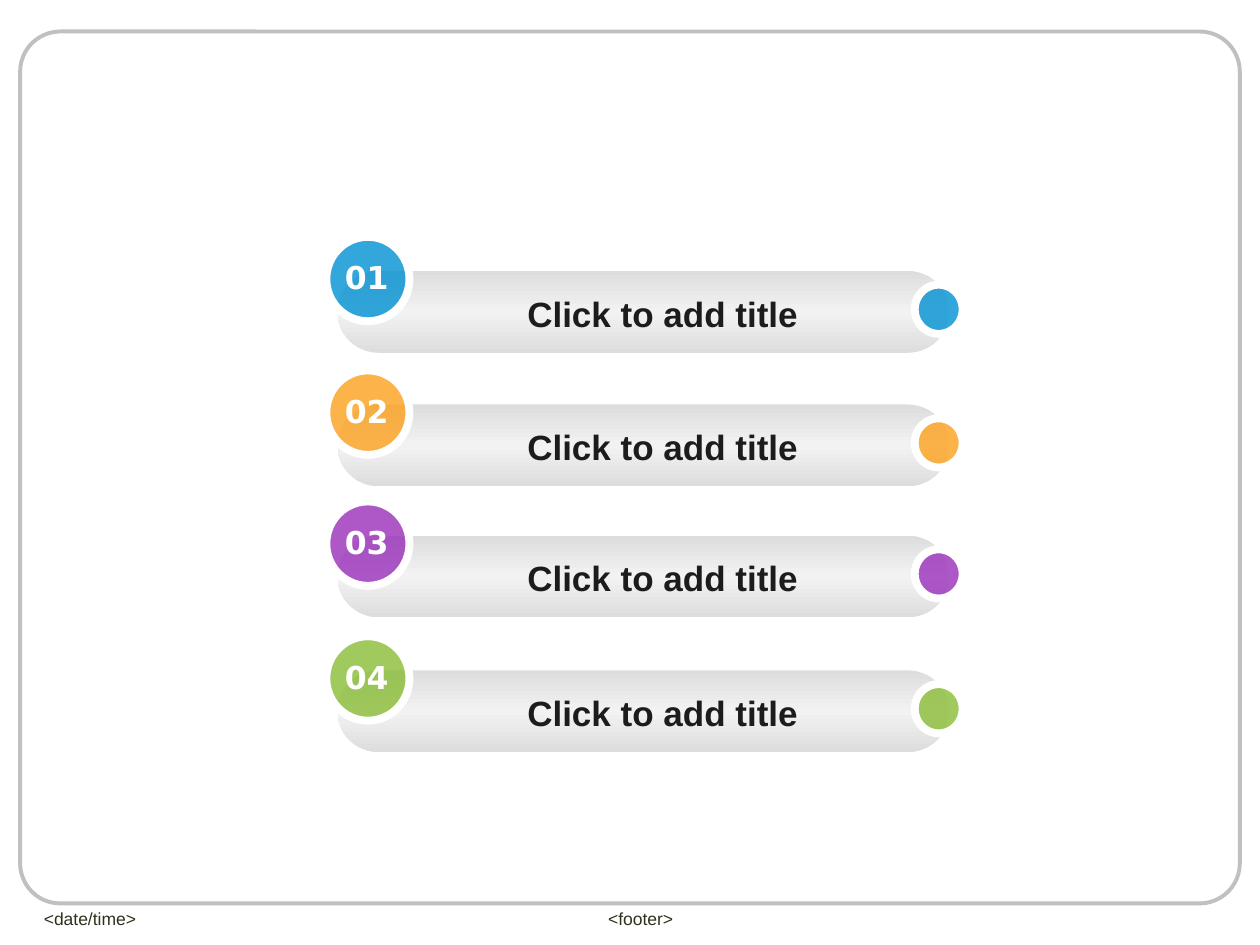
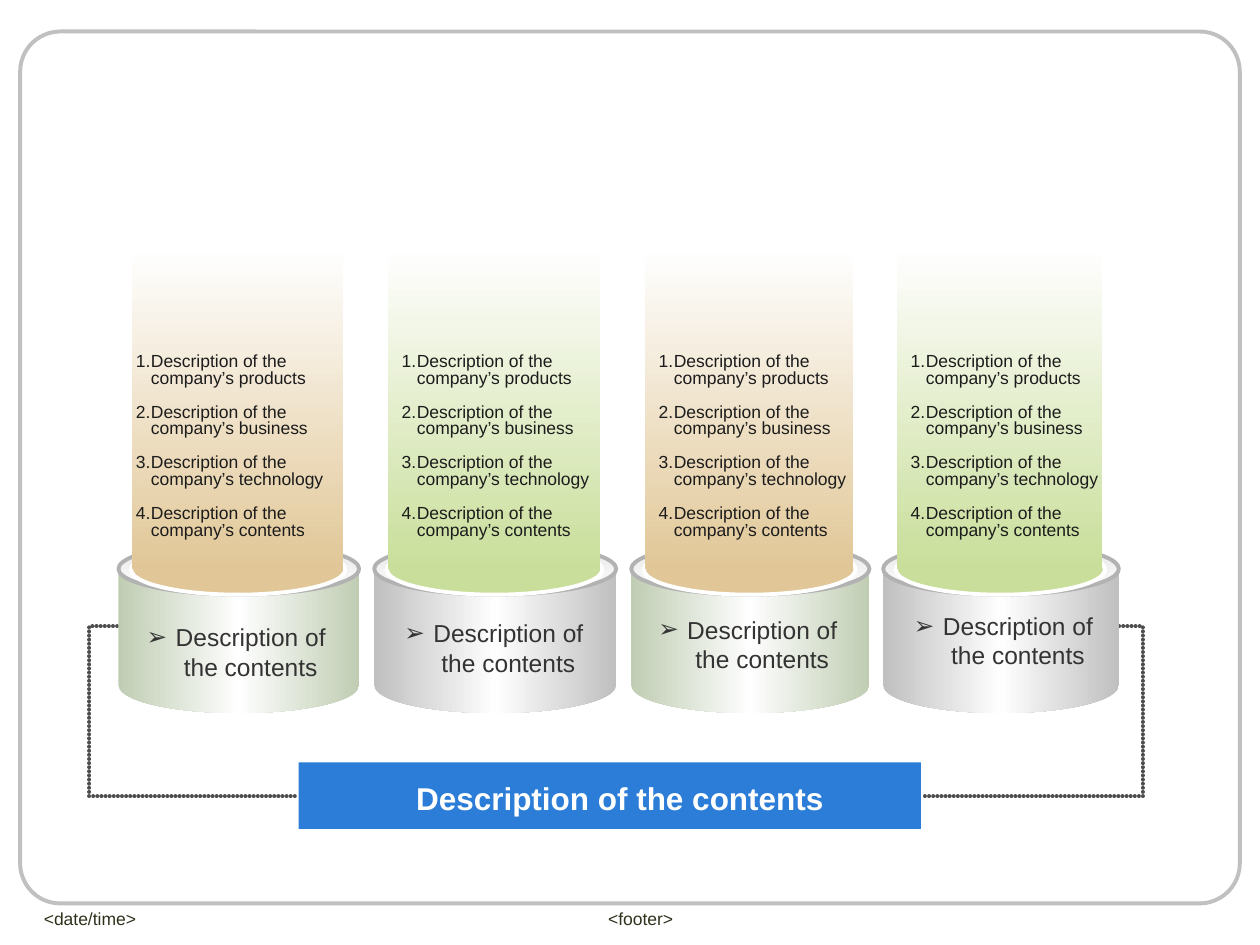
from dataclasses import dataclass

from lxml.etree import SubElement
from pptx import Presentation
from pptx.dml.color import RGBColor
from pptx.enum.shapes import MSO_CONNECTOR, MSO_SHAPE as SHAPE
from pptx.enum.text import PP_ALIGN as ALIGN
from pptx.oxml.ns import qn
from pptx.util import Inches, Pt


@dataclass(frozen=True)
class Theme:
    font: str = "Arial"
    number_font: str = "DejaVu Sans"
    white: str = "FFFFFF"
    ink: str = "1C1C1C"
    caption: str = "333333"
    footer: str = "30311D"
    frame: str = "C0C0C0"
    bar: tuple = ("DDDDDD", "F2F2F2", "DDDDDD")
    blue: str = "0091D2"
    orange: str = "FCA11C"
    purple: str = "9A2FBB"
    green: str = "89BC36"
    banner: str = "2B7DD7"
    link: str = "4D4D4D"
    sage_can: tuple = ("C0CDB3", "FEFEFE", "C0CDB3")
    silver_can: tuple = ("C0C0C0", "FEFEFE", "C0C0C0")
    rim: tuple = ("E6E6E6", "FFFFFF")
    rim_line: str = "B2B2B2"
    tube_top: str = "FEFEFE"
    sand: str = "E1C797"
    lime: str = "C9DE9A"
    title_size: int = 20
    heading_size: int = 18
    caption_size: int = 14
    small_size: int = 10
    line_width: float = 2.25
    ring_width: float = 4.5


T = Theme()

# top of each bar and its accent colour
AGENDA = [(2.15, T.blue), (3.21, T.orange), (4.25, T.purple), (5.32, T.green)]

# left, width, left of list, left of caption, can gradient, tube colour
CYLINDERS = [
    (0.94, 1.91, 0.98, 0.92, T.sage_can, T.sand),
    (2.97, 1.92, 3.09, 2.96, T.silver_can, T.lime),
    (5.01, 1.89, 5.13, 4.99, T.sage_can, T.sand),
    (7.01, 1.87, 7.13, 7.03, T.silver_can, T.lime),
]
TOPICS = ["products", "business", "technology", "contents"]


def rgb(code):
    return RGBColor.from_string(code)


def set_gradient(shape, colors, angle):
    """Spread the colours evenly; 270 runs downwards, 0 to the right."""
    shape.fill.gradient()
    shape.fill.gradient_angle = angle
    stops = shape._element.spPr.find(f".//{qn('a:gsLst')}")
    for stop in list(stops):
        stops.remove(stop)
    for i, color in enumerate(colors):
        position = str(100000 * i // (len(colors) - 1))
        stop = SubElement(stops, qn("a:gs"), pos=position)
        SubElement(stop, qn("a:srgbClr"), val=color)


def add_figure(slide, kind, box, fill=None, line=None, width=T.line_width,
               angle=270, opacity=None, adjust=None):
    """Add a preset shape; a tuple as fill makes a gradient."""
    shape = slide.shapes.add_shape(kind, *map(Inches, box))
    shape.shadow.inherit = False
    if adjust is not None:
        shape.adjustments[0] = adjust
    if fill is None:
        shape.fill.background()
    elif isinstance(fill, tuple):
        set_gradient(shape, fill, angle)
    else:
        shape.fill.solid()
        shape.fill.fore_color.rgb = rgb(fill)
    if opacity is not None:
        color = shape._element.spPr.find(f"{qn('a:solidFill')}/{qn('a:srgbClr')}")
        SubElement(color, qn("a:alpha"), val=str(opacity * 1000))
    if line:
        shape.line.color.rgb = rgb(line)
        shape.line.width = Pt(width)
    else:
        shape.line.fill.background()
    return shape


def add_bullet(paragraph, color, indent, tag, **attributes):
    properties = paragraph._p.get_or_add_pPr()
    properties.set("marL", str(Inches(indent)))
    properties.set("indent", str(-Inches(indent)))
    bullet_color = SubElement(properties, qn("a:buClr"))
    SubElement(bullet_color, qn("a:srgbClr"), val=color)
    SubElement(properties, qn("a:buFont"), typeface=T.font)
    SubElement(properties, qn(tag), **attributes)


def add_text(slide, box, text, size, color, bold=False, font=T.font,
             align=ALIGN.CENTER):
    frame = slide.shapes.add_textbox(*map(Inches, box)).text_frame
    frame.word_wrap = True
    frame.text = text
    for paragraph in frame.paragraphs:
        paragraph.alignment = align
        for run in paragraph.runs:
            run.font.size = Pt(size)
            run.font.name = font
            run.font.bold = bold
            run.font.color.rgb = rgb(color)
    return frame


def add_page(deck):
    """Add a blank slide with the rounded frame and the footers."""
    slide = deck.slides.add_slide(deck.slide_layouts[6])
    add_figure(slide, SHAPE.ROUNDED_RECTANGLE, (0.16, 0.25, 9.68, 6.92),
               line=T.frame, adjust=0.046)
    add_text(slide, (0.25, 7.16, 2.33, 0.27), "<date/time>", T.small_size,
             T.footer, align=ALIGN.LEFT)
    add_text(slide, (3.5, 7.16, 3.17, 0.27), "<footer>", T.small_size, T.footer)
    return slide


def add_disc(slide, box, color):
    add_figure(slide, SHAPE.OVAL, box, color, T.white, T.ring_width, opacity=80)


def add_agenda_row(slide, number, top, color):
    add_figure(slide, SHAPE.ROUNDED_RECTANGLE, (2.68, top, 4.85, 0.65), T.bar,
               adjust=0.5)
    add_text(slide, (3.38, top + 0.12, 3.76, 0.44), "Click to add title",
             T.title_size, T.ink, bold=True)
    add_disc(slide, (2.59, top - 0.27, 0.66, 0.67), color)
    add_text(slide, (2.62, top - 0.15, 0.58, 0.4), f"{number:02d}",
             T.heading_size, T.white, bold=True, font=T.number_font)
    add_disc(slide, (7.26, top + 0.11, 0.38, 0.39), color)


def add_link(slide, start, end, overhang=0.22):
    """Add a finely dotted elbow that bulges outwards beyond its start."""
    link = slide.shapes.add_connector(MSO_CONNECTOR.ELBOW,
                                      *map(Inches, start + end))
    link.line.color.rgb = rgb(T.link)
    link.line.width = Pt(T.line_width)
    properties = link._element.spPr
    outline = properties.find(qn("a:ln"))
    outline.set("cap", "rnd")
    dots = SubElement(outline, qn("a:custDash"))
    SubElement(dots, qn("a:ds"), d="100000", sp="5000")
    SubElement(properties, qn("a:effectLst"))
    bulge = round(-100000 * overhang / abs(end[0] - start[0]))
    guides = properties.find(f"{qn('a:prstGeom')}/{qn('a:avLst')}")
    SubElement(guides, qn("a:gd"), name="adj1", fmla=f"val {bulge}")


def add_cylinder(slide, left, width, can, tube):
    add_figure(slide, SHAPE.CAN, (left, 4.29, width, 1.37), can, angle=0,
               adjust=0.321)
    add_figure(slide, SHAPE.OVAL, (left, 4.31, width, 0.41), T.rim, T.rim_line)
    add_figure(slide, SHAPE.OVAL, (left + 0.1, 4.32, width - 0.21, 0.4), tube,
               T.white)
    add_figure(slide, SHAPE.RECTANGLE, (left + 0.11, 2, width - 0.24, 2.52),
               (T.tube_top, tube))


def add_topic_list(slide, left):
    lines = [f"Description of the company’s {topic}" for topic in TOPICS]
    frame = add_text(slide, (left, 2.76, 1.77, 1.64), "\n".join(lines),
                     T.small_size, T.ink, align=ALIGN.LEFT)
    for i, paragraph in enumerate(frame.paragraphs):
        paragraph.line_spacing = 0.8
        if i:
            paragraph.space_before = Pt(9.8)
        add_bullet(paragraph, T.ink, 0.12, "a:buAutoNum", type="arabicPeriod")


def add_caption(slide, left, top, width):
    frame = add_text(slide, (left, top, width, 0.57),
                     "Description of the contents", T.caption_size, T.caption)
    add_bullet(frame.paragraphs[0], T.caption, 0.23, "a:buChar", char="➢")


def build_agenda(deck):
    slide = add_page(deck)
    for number, (top, color) in enumerate(AGENDA, 1):
        add_agenda_row(slide, number, top, color)


def build_cylinders(deck):
    slide = add_page(deck)
    add_figure(slide, SHAPE.RECTANGLE, (2.37, 6.05, 4.94, 0.53), T.banner)
    add_link(slide, (0.93, 4.97), (2.37, 6.32))
    add_link(slide, (8.85, 4.97), (7.32, 6.32))
    add_text(slide, (3.06, 6.13, 3.72, 0.4), "Description of the contents",
             T.heading_size, T.white, bold=True)
    for i, (left, width, list_left, caption_left, can, tube) in enumerate(CYLINDERS):
        add_cylinder(slide, left, width, can, tube)
        add_topic_list(slide, list_left)
        add_caption(slide, caption_left, 4.89 - 0.03 * i, width)


def main():
    deck = Presentation()
    deck.slide_width, deck.slide_height = Inches(10), Inches(7.5)
    build_agenda(deck)
    build_cylinders(deck)
    deck.save("out.pptx")


if __name__ == "__main__":
    main()
